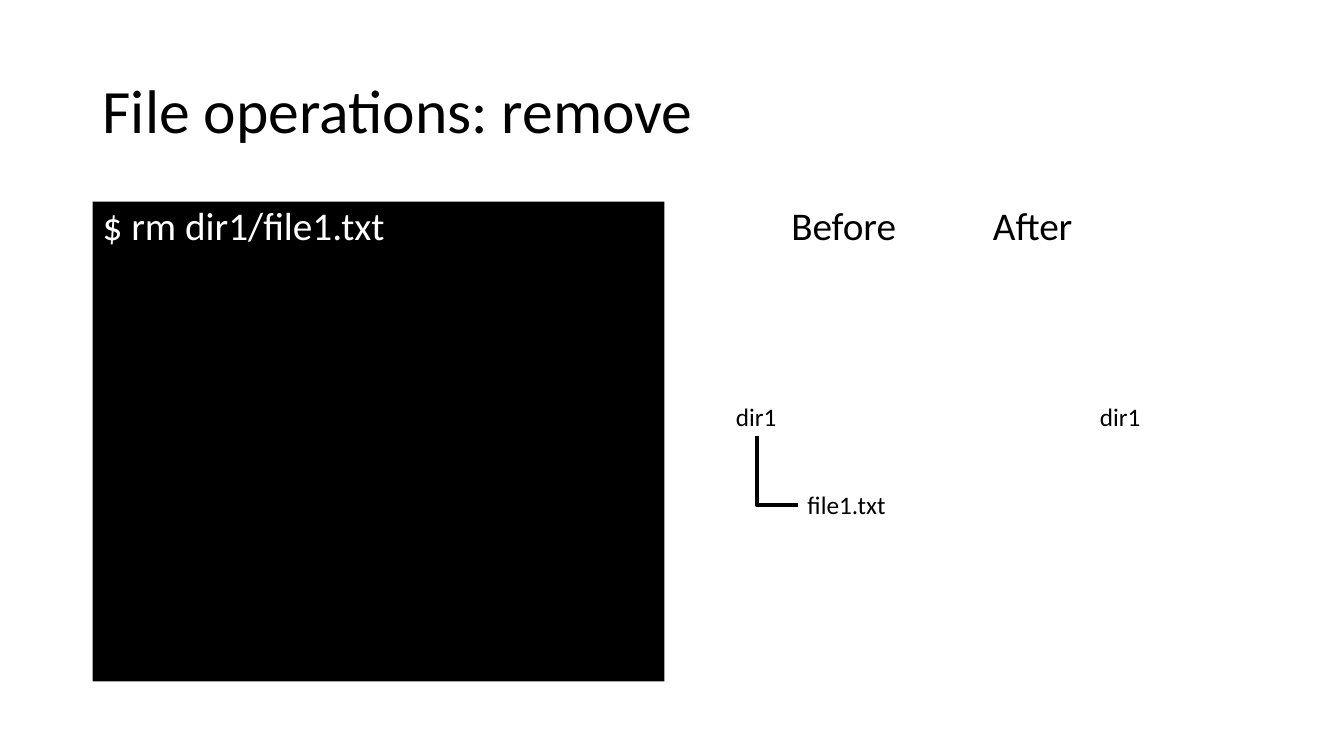
from lxml import etree
from pptx import Presentation
from pptx.dml.color import RGBColor
from pptx.enum.shapes import MSO_CONNECTOR, MSO_SHAPE
from pptx.enum.text import MSO_ANCHOR, MSO_AUTO_SIZE, PP_ALIGN
from pptx.oxml.ns import qn
from pptx.util import Inches, Pt

BLACK = RGBColor(0x00, 0x00, 0x00)
WHITE = RGBColor(0xFF, 0xFF, 0xFF)
FONT = "Calibri"
ELBOW = MSO_CONNECTOR.ELBOW
RECTANGLE = MSO_SHAPE.RECTANGLE
TOP = MSO_ANCHOR.TOP
MIDDLE = MSO_ANCHOR.MIDDLE
LEFT = PP_ALIGN.LEFT
GROW = MSO_AUTO_SIZE.SHAPE_TO_FIT_TEXT
LEFT_SIDE, BOTTOM_SIDE = 1, 2

MARGIN = 0.92
PANEL_TOP, PANEL_WIDTH, PANEL_HEIGHT = 2, 5.67, 4.76
LABEL_HEIGHT = 0.4


def write_text(shape, text, size=28, color=BLACK, anchor=TOP, spacing=0.9, wrap=True, tabs=()):
    frame = shape.text_frame
    frame.word_wrap = wrap
    frame.vertical_anchor = anchor
    paragraph = frame.paragraphs[0]
    paragraph.alignment = LEFT
    paragraph.line_spacing = spacing
    if tabs:
        tab_list = etree.SubElement(paragraph._p.get_or_add_pPr(), qn("a:tabLst"))
        for position in tabs:
            etree.SubElement(tab_list, qn("a:tab"), pos=str(Inches(position)), algn="l")
    run = paragraph.add_run()
    run.text = text
    run.font.name = FONT
    run.font.size = Pt(size)
    run.font.color.rgb = color


def add_text(slide, left, top, width, height, text, **text_format):
    box = slide.shapes.add_textbox(Inches(left), Inches(top), Inches(width), Inches(height))
    write_text(box, text, **text_format)
    return box


def add_terminal(slide, left, top, width, height, command):
    terminal = slide.shapes.add_shape(
        RECTANGLE, Inches(left), Inches(top), Inches(width), Inches(height))
    terminal.shadow.inherit = False
    terminal.fill.solid()
    terminal.fill.fore_color.rgb = BLACK
    terminal.line.fill.background()
    write_text(terminal, command, color=WHITE)


def add_label(slide, left, top, width, name):
    label = add_text(slide, left, top, width, LABEL_HEIGHT, name,
                     size=18, spacing=1.0, wrap=False)
    label.text_frame.auto_size = GROW
    return label


def add_branch(slide, directory, file):
    branch = slide.shapes.add_connector(ELBOW, 0, 0, 0, 0)
    branch.begin_connect(file, LEFT_SIDE)
    branch.end_connect(directory, BOTTOM_SIDE)
    branch.line.color.rgb = BLACK
    branch.line.width = Pt(3)
    properties = branch._element.spPr
    properties.find(qn("a:prstGeom")).set("prst", "bentConnector2")
    etree.SubElement(properties, qn("a:effectLst"))


def main():
    presentation = Presentation()
    presentation.slide_width = Inches(13.33)
    presentation.slide_height = Inches(7.5)
    slide = presentation.slides.add_slide(presentation.slide_layouts[6])

    add_text(slide, MARGIN, 0.4, 11.5, 1.45, "File operations: remove", size=44, anchor=MIDDLE)
    add_terminal(slide, MARGIN, PANEL_TOP, PANEL_WIDTH, PANEL_HEIGHT, "$ rm dir1/file1.txt")
    add_text(slide, 6.75, PANEL_TOP, PANEL_WIDTH, PANEL_HEIGHT, "\tBefore\tAfter", tabs=(1, 3))

    directory_before, _ = [add_label(slide, left, 3.93, 0.61, "dir1") for left in (7.2, 10.81)]
    file_before = add_label(slide, 7.91, 4.81, 0.98, "file1.txt")
    add_branch(slide, directory_before, file_before)

    presentation.save("out.pptx")


if __name__ == "__main__":
    main()
